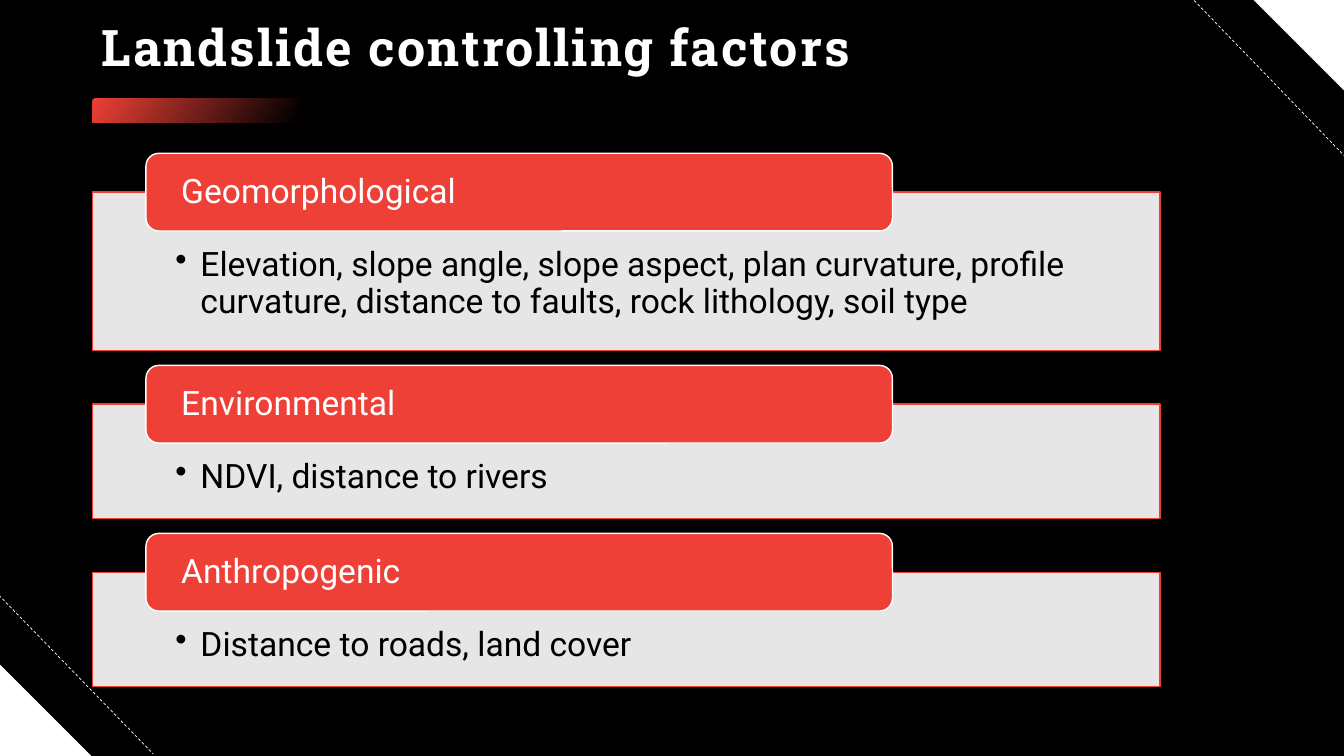
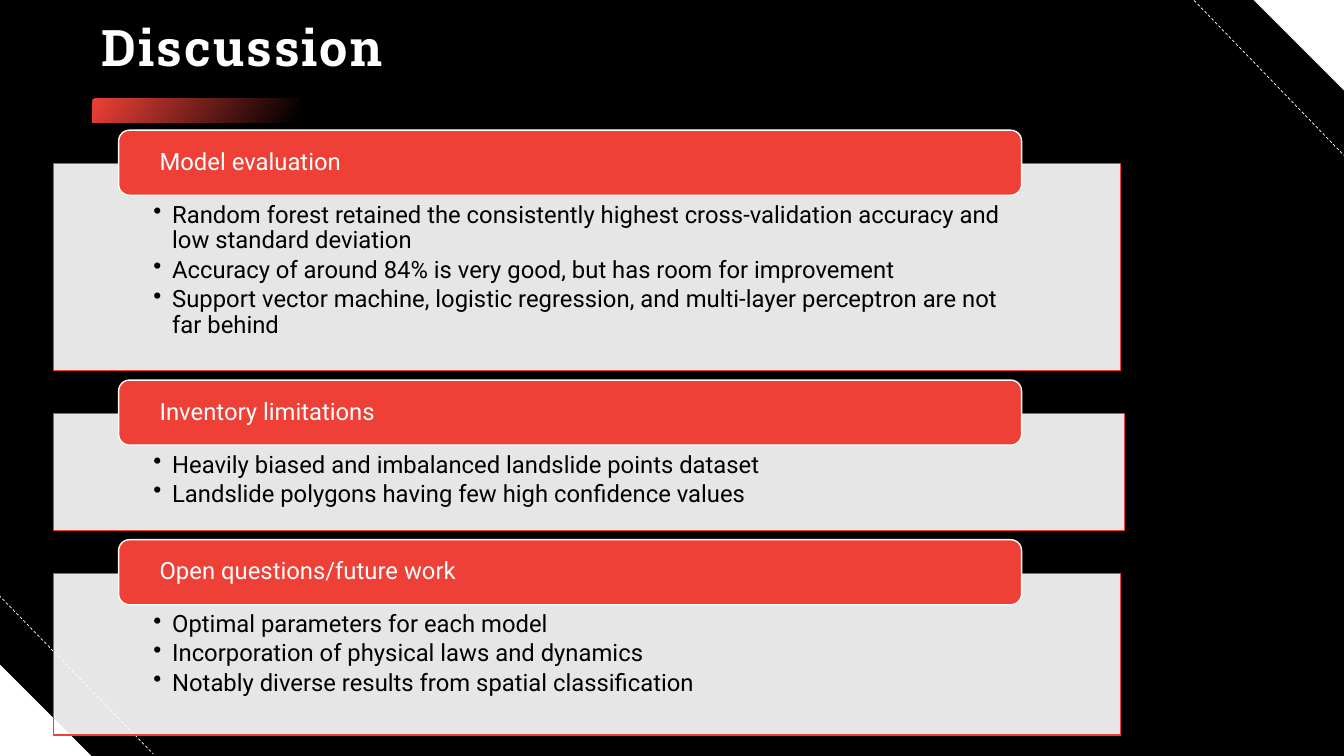
from dataclasses import dataclass
from typing import Any

import pptx
import pptx.dml.color
import pptx.enum.dml
import pptx.enum.shapes
import pptx.enum.text
import pptx.oxml.ns
import pptx.util
from lxml import etree

EMU_PER_PX = 9525
PAGE_WIDTH, PAGE_HEIGHT = 1280, 720
COLORS = {"night": "000000", "paper": "FFFFFF", "accent": "EE4036"}
HEADING_FONT, BODY_FONT = "Roboto Slab", "Roboto"
SHAPES = pptx.enum.shapes.MSO_SHAPE
ANCHORS = pptx.enum.text.MSO_ANCHOR
LEFT = pptx.enum.text.PP_ALIGN.LEFT


@dataclass(frozen=True)
class Box:
    left: int
    top: int
    width: int
    height: int


@dataclass(frozen=True)
class Card:
    heading: str
    bullets: tuple[str, ...]
    width: int
    height: int


@dataclass(frozen=True)
class CardStyle:
    left: int
    top: int
    gap: int
    tab: Box
    tab_inset: int
    insets: tuple[int, int, int, int]
    indent: int
    size: int


@dataclass(frozen=True)
class Page:
    title: str
    style: CardStyle
    cards: tuple[Card, ...]


CORNERS = ((Box(0, 633, 87, 87), 0), (Box(1193, -1, 87, 87), 180))
DASHES = ((-1, 567, 146, 718), (1134, -3, 1281, 149))
TITLE_BOX = Box(87, 17, 1105, 61)
TITLE_BAR = Box(88, 94, 196, 23)

PAGES = (
    Page(
        "Landslide controlling factors",
        CardStyle(88, 183, 51, Box(51, -37, 711, 74), 30, (79, 53, 79, 18), 24, 24),
        (
            Card(
                "Geomorphological",
                (
                    "Elevation, slope angle, slope aspect, plan curvature, profile "
                    "curvature, distance to faults, rock lithology, soil type",
                ),
                1017,
                151,
            ),
            Card("Environmental", ("NDVI, distance to rivers",), 1017, 109),
            Card("Anthropogenic", ("Distance to roads, land cover",), 1017, 109),
        ),
    ),
    Page(
        "Discussion",
        CardStyle(51, 156, 41, Box(62, -32, 860, 62), 36, (95, 37, 95, 12), 18, 17),
        (
            Card(
                "Model evaluation",
                (
                    "Random forest retained the consistently highest cross-validation "
                    "accuracy and low standard deviation",
                    "Accuracy of around 84% is very good, but has room for improvement",
                    "Support vector machine, logistic regression, and multi-layer "
                    "perceptron are not far behind",
                ),
                1016,
                197,
            ),
            Card(
                "Inventory limitations",
                (
                    "Heavily biased and imbalanced landslide points dataset",
                    "Landslide polygons having few high confidence values",
                ),
                1020,
                111,
            ),
            Card(
                "Open questions/future work",
                (
                    "Optimal parameters for each model",
                    "Incorporation of physical laws and dynamics",
                    "Notably diverse results from spatial classification",
                ),
                1016,
                154,
            ),
        ),
    ),
)


def px(length: int) -> int:
    return pptx.util.Emu(length * EMU_PER_PX)


def rgb(name: str) -> pptx.dml.color.RGBColor:
    return pptx.dml.color.RGBColor.from_string(COLORS[name])


def set_format(target: Any, values: dict[str, Any]) -> None:
    for name, value in values.items():
        setattr(target, name, value)


def add_element(parent: Any, tag: str, **attributes: str) -> Any:
    return etree.SubElement(parent, pptx.oxml.ns.qn(tag), attributes)


def place(box: Box) -> tuple[int, ...]:
    return tuple(px(length) for length in (box.left, box.top, box.width, box.height))


def add_shape(slide: Any, kind: Any, box: Box, fill: str, line: str = "") -> Any:
    shape = slide.shapes.add_shape(kind, *place(box))
    shape.shadow.inherit = False
    shape.fill.solid()
    shape.fill.fore_color.rgb = rgb(fill)
    if line:
        shape.line.color.rgb = rgb(line)
        shape.line.width = pptx.util.Pt(1)
    else:
        shape.line.fill.background()
    return shape


def set_frame(shape: Any, insets: tuple[int, int, int, int], anchor: Any) -> None:
    sides = ("margin_left", "margin_top", "margin_right", "margin_bottom")
    values = dict(zip(sides, map(px, insets)))
    set_format(
        shape.text_frame, values | {"word_wrap": True, "vertical_anchor": anchor}
    )


def write_lines(
    shape: Any,
    lines: tuple[str, ...],
    size: int,
    color: str,
    font: str = BODY_FONT,
    bold: bool = False,
    indent: int = 0,
) -> None:
    frame = shape.text_frame
    for index, line in enumerate(lines):
        para = frame.add_paragraph() if index else frame.paragraphs[0]
        if indent:
            properties = para._p.get_or_add_pPr()
            properties.set("marL", str(px(indent)))
            properties.set("indent", str(-px(indent)))
            add_element(properties, "a:buChar", char="•")
        values = {"alignment": LEFT, "line_spacing": 0.9}
        if indent:
            values["space_after"] = pptx.util.Pt(size * 0.15)
        set_format(para, values)
        span = para.add_run()
        span.text = line
        set_format(
            span.font, {"name": font, "size": pptx.util.Pt(size), "bold": bold}
        )
        span.font.color.rgb = rgb(color)


def draw_corners(slide: Any) -> None:
    for box, rotation in CORNERS:
        corner = add_shape(slide, SHAPES.RIGHT_TRIANGLE, box, "paper")
        corner.rotation = rotation
    for ends in DASHES:
        dash = slide.shapes.add_connector(
            pptx.enum.shapes.MSO_CONNECTOR.STRAIGHT, *map(px, ends)
        )
        dash.line.color.rgb = rgb("paper")
        set_format(
            dash.line,
            {
                "width": pptx.util.Pt(0.5),
                "dash_style": pptx.enum.dml.MSO_LINE.DASH,
            },
        )
        add_element(dash._element.spPr, "a:effectLst")


def draw_title(slide: Any, title: str) -> None:
    bar = add_shape(slide, SHAPES.RECTANGLE, TITLE_BAR, "accent")
    bar.fill.gradient()
    bar.fill.gradient_angle = 330
    for stop, color, position in zip(
        bar.fill.gradient_stops, ("accent", "night"), (0, 0.99)
    ):
        stop.color.rgb = rgb(color)
        stop.position = position
    box = slide.shapes.add_textbox(*place(TITLE_BOX))
    set_frame(box, (10, 5, 10, 5), ANCHORS.MIDDLE)
    write_lines(box, (title,), 36, "paper", HEADING_FONT, True)
    span = box.text_frame.paragraphs[0].runs[0]
    span.font._element.set("spc", "150")


def draw_card(slide: Any, card: Card, style: CardStyle, top: int) -> None:
    body_box = Box(style.left, top, card.width, card.height)
    body = add_shape(slide, SHAPES.RECTANGLE, body_box, "paper", "accent")
    fill = body._element.spPr.find(pptx.oxml.ns.qn("a:solidFill"))
    add_element(fill[0], "a:alpha", val="90000")
    set_frame(body, style.insets, ANCHORS.TOP)
    write_lines(body, card.bullets, style.size, "night", indent=style.indent)

    tab = style.tab
    tab_box = Box(style.left + tab.left, top + tab.top, tab.width, tab.height)
    heading = add_shape(slide, SHAPES.ROUNDED_RECTANGLE, tab_box, "accent", "paper")
    set_frame(heading, (style.tab_inset, 0, style.tab_inset, 0), ANCHORS.MIDDLE)
    write_lines(heading, (card.heading,), style.size, "paper")


def draw_page(deck: Any, page: Page) -> None:
    slide = deck.slides.add_slide(deck.slide_layouts[6])
    draw_corners(slide)
    draw_title(slide, page.title)
    top = page.style.top
    for card in page.cards:
        draw_card(slide, card, page.style, top)
        top += card.height + page.style.gap


def main() -> None:
    deck = pptx.Presentation()
    set_format(
        deck, {"slide_width": px(PAGE_WIDTH), "slide_height": px(PAGE_HEIGHT)}
    )
    backdrop = deck.slide_master.background.fill
    backdrop.solid()
    backdrop.fore_color.rgb = rgb("night")
    for page in PAGES:
        draw_page(deck, page)
    deck.save("out.pptx")


if __name__ == "__main__":
    main()
